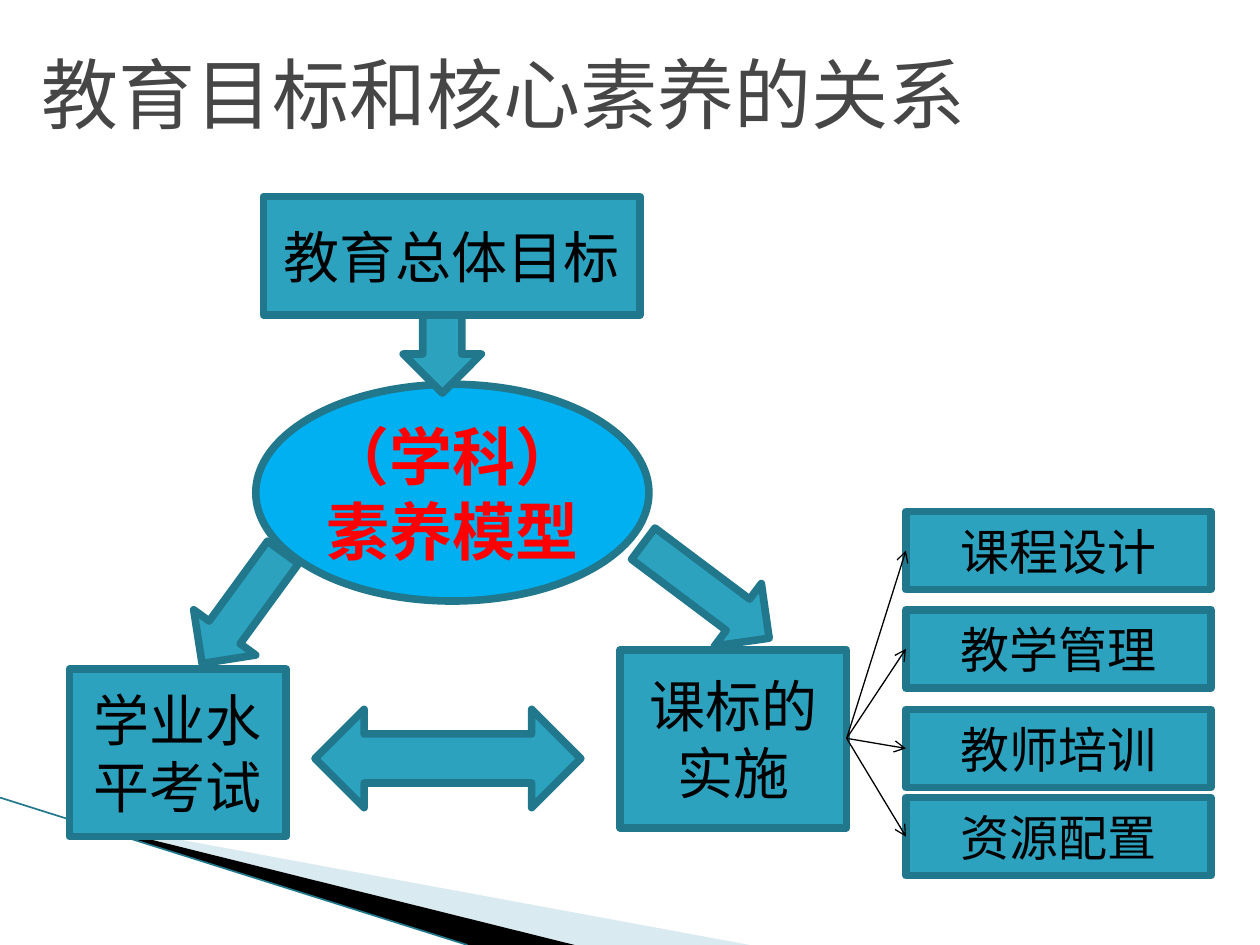
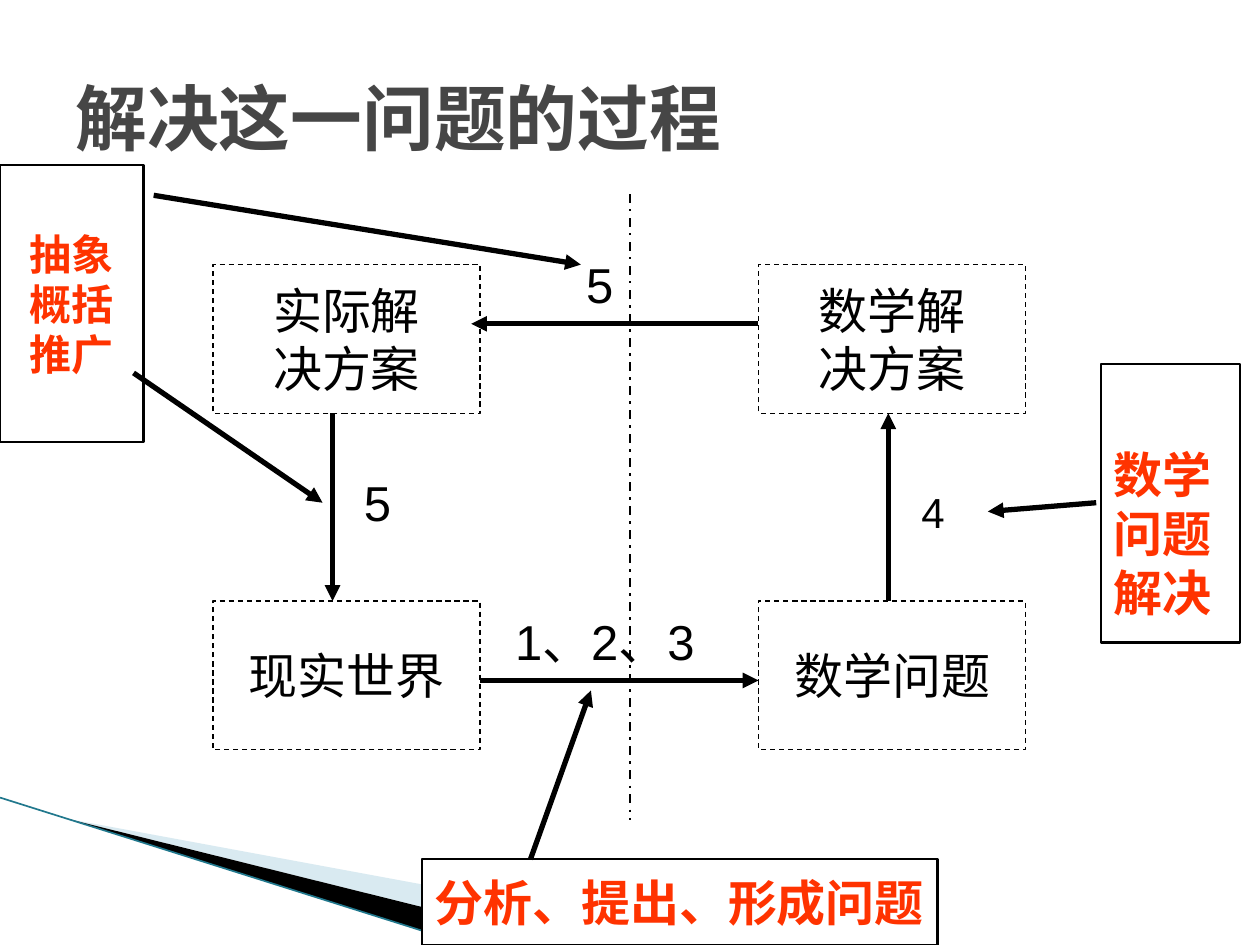
from typing import NamedTuple

from lxml import etree
from pptx import Presentation
from pptx.dml.color import RGBColor
from pptx.enum.dml import MSO_LINE
from pptx.enum.shapes import MSO_CONNECTOR, MSO_SHAPE
from pptx.enum.text import MSO_ANCHOR, PP_ALIGN
from pptx.oxml.ns import qn
from pptx.util import Inches, Pt

BLACK = RGBColor(0x00, 0x00, 0x00)
WHITE = RGBColor(0xFF, 0xFF, 0xFF)
TITLE_GREY = RGBColor(0x46, 0x46, 0x46)
TEAL = RGBColor(0x2D, 0xA2, 0xBF)
DARK_TEAL = RGBColor(0x21, 0x78, 0x8D)
SKY_BLUE = RGBColor(0x00, 0xB0, 0xF0)
RED = RGBColor(0xFF, 0x00, 0x00)
ORANGE_RED = RGBColor(0xFF, 0x33, 0x00)
PALE_BLUE = RGBColor(0xA0, 0xCB, 0xDC)

MIDDLE = MSO_ANCHOR.MIDDLE
LEFT, CENTER = PP_ALIGN.LEFT, PP_ALIGN.CENTER
STRAIGHT = MSO_CONNECTOR.STRAIGHT
DASH, DASH_DOT = MSO_LINE.DASH, MSO_LINE.DASH_DOT
RECTANGLE, OVAL = MSO_SHAPE.RECTANGLE, MSO_SHAPE.OVAL
RIGHT_ARROW, DOWN_ARROW = MSO_SHAPE.RIGHT_ARROW, MSO_SHAPE.DOWN_ARROW
LEFT_RIGHT_ARROW = MSO_SHAPE.LEFT_RIGHT_ARROW

TITLE_FONT = "DejaVu Sans Mono"
BODY_FONT = "Arial"


class Box(NamedTuple):
    """A rectangle in inches."""

    left: float
    top: float
    width: float
    height: float

    def inner(self, left, top, width, height):
        """Return a box placed relative to this one."""
        return Box(self.left + left, self.top + top, width, height)

    def point(self, x, y):
        """Return a point placed relative to this box."""
        return self.left + x, self.top + y

    def lengths(self):
        """Return the four measures as lengths."""
        return [Inches(value) for value in self]


def write_text(shape, lines, size, color, font=BODY_FONT, bold=False,
               align=CENTER, wrap=False):
    """Fill a shape with evenly formatted, vertically centred lines."""
    frame = shape.text_frame
    frame.text = "\n".join(lines)
    frame.word_wrap = wrap
    frame.vertical_anchor = MIDDLE
    for paragraph in frame.paragraphs:
        paragraph.alignment = align
        for run in paragraph.runs:
            run.font.name = font
            run.font.size = Pt(size)
            run.font.bold = bold
            run.font.color.rgb = color


def add_panel(slide, kind, box, fill, line, width):
    """Add a preset shape with a plain fill and outline."""
    shape = slide.shapes.add_shape(kind, *box.lengths())
    shape.shadow.inherit = False
    if fill is None:
        shape.fill.background()
    else:
        shape.fill.solid()
        shape.fill.fore_color.rgb = fill
    shape.line.color.rgb = line
    shape.line.width = Pt(width)
    return shape


def add_line(slide, start, end, color, width, head=None, dash=None):
    """Add a straight connector with an optional arrowhead at its end."""
    ends = [Inches(value) for value in (*start, *end)]
    connector = slide.shapes.add_connector(STRAIGHT, *ends)
    connector.line.color.rgb = color
    connector.line.width = Pt(width)
    if dash is not None:
        connector.line.dash_style = dash
    properties = connector._element.spPr
    if head:
        line = properties.find(qn("a:ln"))
        etree.SubElement(line, qn("a:tailEnd"), type=head)
    etree.SubElement(properties, qn("a:effectLst"))


def add_wedge(slide, points, color, opacity=100):
    """Add a filled polygon without an outline."""
    corners = [(Inches(x), Inches(y)) for x, y in points]
    builder = slide.shapes.build_freeform(*corners[0])
    builder.add_line_segments(corners[1:])
    shape = builder.convert_to_shape()
    shape.shadow.inherit = False
    shape.fill.solid()
    shape.fill.fore_color.rgb = color
    shape.line.fill.background()
    if opacity < 100:
        tint = shape._element.spPr.find(qn("a:solidFill"))[0]
        etree.SubElement(tint, qn("a:alpha"), val=str(opacity * 1000))


def add_corner_band(slide, box):
    """Draw the slanted band in the lower left corner."""
    tip = box.point(0.54, 0.17)
    bottom = box.height
    add_wedge(slide, [tip, box.point(5.95, bottom), box.point(4.56, bottom)],
              PALE_BLUE, 40)
    add_wedge(slide, [tip, box.point(4.56, bottom), box.point(3.71, bottom)],
              BLACK)
    add_line(slide, box.point(0, 0), box.point(3.71, bottom), DARK_TEAL, 0.95)


def add_title(slide, box, text, size, bold=False, spacing=1.0):
    """Add the slide title."""
    title = slide.shapes.add_textbox(*box.lengths())
    write_text(title, [text], size, TITLE_GREY, TITLE_FONT, bold, LEFT, True)
    title.text_frame.paragraphs[0].line_spacing = spacing


def add_goal_diagram(slide, box):
    """Draw the goal, the model and the two results with block arrows."""
    nodes = [
        (RECTANGLE, (1.54, 0, 2.99, 0.94), TEAL, "教育总体目标", 32, BLACK),
        (OVAL, (1.48, 1.49, 3.12, 1.72), SKY_BLUE, "（学科）素养模型", 36, RED),
        (RECTANGLE, (4.37, 3.6, 1.8, 1.41), TEAL, "课标的实施", 32, BLACK),
        (RECTANGLE, (0, 3.75, 1.72, 1.33), TEAL, "学业水平考试", 32, BLACK),
    ]
    for kind, place, fill, text, size, color in nodes:
        node = add_panel(slide, kind, box.inner(*place), fill, DARK_TEAL, 4.33)
        write_text(node, [text], size, color, TITLE_FONT, kind == OVAL,
                   wrap=True)
    arrows = [
        (RIGHT_ARROW, (2.65, 0.94, 0.62, 0.62), 90),
        (RIGHT_ARROW, (4.43, 2.82, 1.25, 0.62), 36.9),
        (DOWN_ARROW, (1.07, 2.72, 0.61, 1.09), 36.1),
        (LEFT_RIGHT_ARROW, (1.95, 4.07, 2.11, 0.78), 0),
    ]
    for kind, place, angle in arrows:
        arrow = add_panel(slide, kind, box.inner(*place), TEAL, DARK_TEAL, 4.33)
        arrow.rotation = angle


def add_measures(slide, box):
    """Draw the fan of arrows and the column of measures."""
    fan = 0.47
    height = 0.62
    measures = [("课程设计", 0), ("教学管理", 0.78), ("教师培训", 1.57),
                ("资源配置", 2.27)]
    for text, top in measures:
        place = box.inner(fan, top, box.width - fan, height)
        measure = add_panel(slide, RECTANGLE, place, TEAL, DARK_TEAL, 4.33)
        write_text(measure, [text], 28, BLACK, TITLE_FONT, wrap=True)
    for text, top in measures:
        add_line(slide, box.point(0, 1.8), box.point(fan, top + height / 2),
                 BLACK, 0.75, "arrow")


def add_cycle(slide, box):
    """Draw the four stages, the divider and the numbered steps."""
    width, height = 2.12, 1.18
    right, lower = box.width - width, box.height - height
    stages = [
        (0, 0, ["实际解", "决方案"]),
        (0, lower, ["现实世界"]),
        (right, 0, ["数学解", "决方案"]),
        (right, lower, ["数学问题"]),
    ]
    for left, top, lines in stages:
        place = box.inner(left, top, width, height)
        stage = add_panel(slide, RECTANGLE, place, None, BLACK, 0.75)
        stage.line.dash_style = DASH
        write_text(stage, lines, 28, BLACK)
    steps = [
        ((width, 3.3), (right, 3.3)),
        ((5.36, lower), (5.36, height)),
        ((0.95, height), (0.95, lower)),
        ((right, 0.47), (2.05, 0.47)),
    ]
    for start, end in steps:
        add_line(slide, box.point(*start), box.point(*end), BLACK, 3, "triangle")
    add_line(slide, box.point(3.31, -0.56), box.point(3.31, 4.41), BLACK, 1.25,
             dash=DASH_DOT)
    numbers = [
        ("1、2、3", 2.01, 2.75, 2.2, 28),
        ("5", 2.44, -0.08, 1.26, 28),
        ("4", 5.44, 1.73, 0.55, 24),
        ("5", 1.03, 1.65, 0.55, 28),
    ]
    for text, left, top, label_width, size in numbers:
        place = box.inner(left, top, label_width, 0.47)
        label = slide.shapes.add_textbox(*place.lengths())
        write_text(label, [text], size, BLACK)


def add_callout(slide, box, lines, size, pointers, align=LEFT, drop=0):
    """Draw a framed remark and its pointers, measured from its corner."""
    callout = add_panel(slide, RECTANGLE, box, WHITE, BLACK, 1.25)
    write_text(callout, lines, size, ORANGE_RED, bold=True, align=align)
    callout.text_frame.margin_top = Inches(0.05 + drop)
    for start, end in pointers:
        add_line(slide, box.point(*start), box.point(*end), BLACK, 3, "triangle")


def add_base_slide(presentation):
    """Add a blank slide with the shared corner band."""
    slide = presentation.slides.add_slide(presentation.slide_layouts[6])
    add_corner_band(slide, Box(0, 6.33, 5.95, 1.17))
    return slide


def build_goal_slide(presentation):
    """Build the slide on educational goals and core competences."""
    slide = add_base_slide(presentation)
    add_title(slide, Box(0.23, 0.39, 8.03, 0.79), "教育目标和核心素养的关系", 44,
              spacing=0.9)
    add_goal_diagram(slide, Box(0.55, 1.56, 6.17, 5.08))
    add_measures(slide, Box(6.72, 4.06, 2.89, 2.89))


def build_process_slide(presentation):
    """Build the slide on the problem-solving process."""
    slide = add_base_slide(presentation)
    add_title(slide, Box(0.5, 0.3, 9, 1.25), "解决这一问题的过程", 41, True)
    add_cycle(slide, Box(1.69, 2.1, 6.45, 3.85))
    add_callout(slide, Box(3.35, 6.82, 4.09, 0.68), ["分析、提出、形成问题"], 28,
                [((0.86, 0), (1.34, -1.34))])
    add_callout(slide, Box(8.74, 2.89, 1.1, 2.21), ["数学", "问题", "解决"], 28,
                [((-0.04, 1.1), (-0.9, 1.17))], drop=0.47)
    add_callout(slide, Box(0, 1.31, 1.14, 2.2), ["抽象", "概括", "推广"], 24,
                [((1.06, 1.65), (2.56, 2.68)), ((1.22, 0.24), (4.61, 0.79))],
                CENTER)


def main():
    """Build and save the presentation."""
    presentation = Presentation()
    presentation.slide_width = Inches(10)
    presentation.slide_height = Inches(7.5)
    build_goal_slide(presentation)
    build_process_slide(presentation)
    presentation.save("out.pptx")


main()
